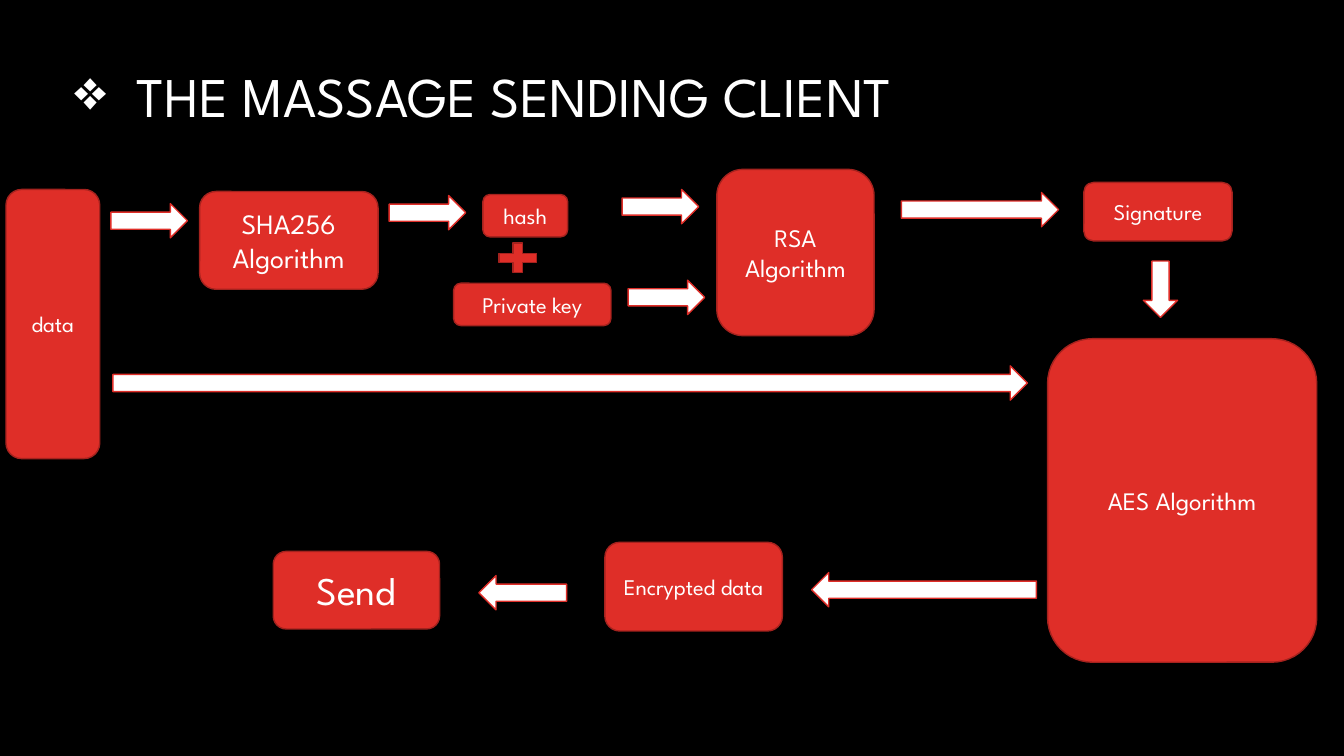
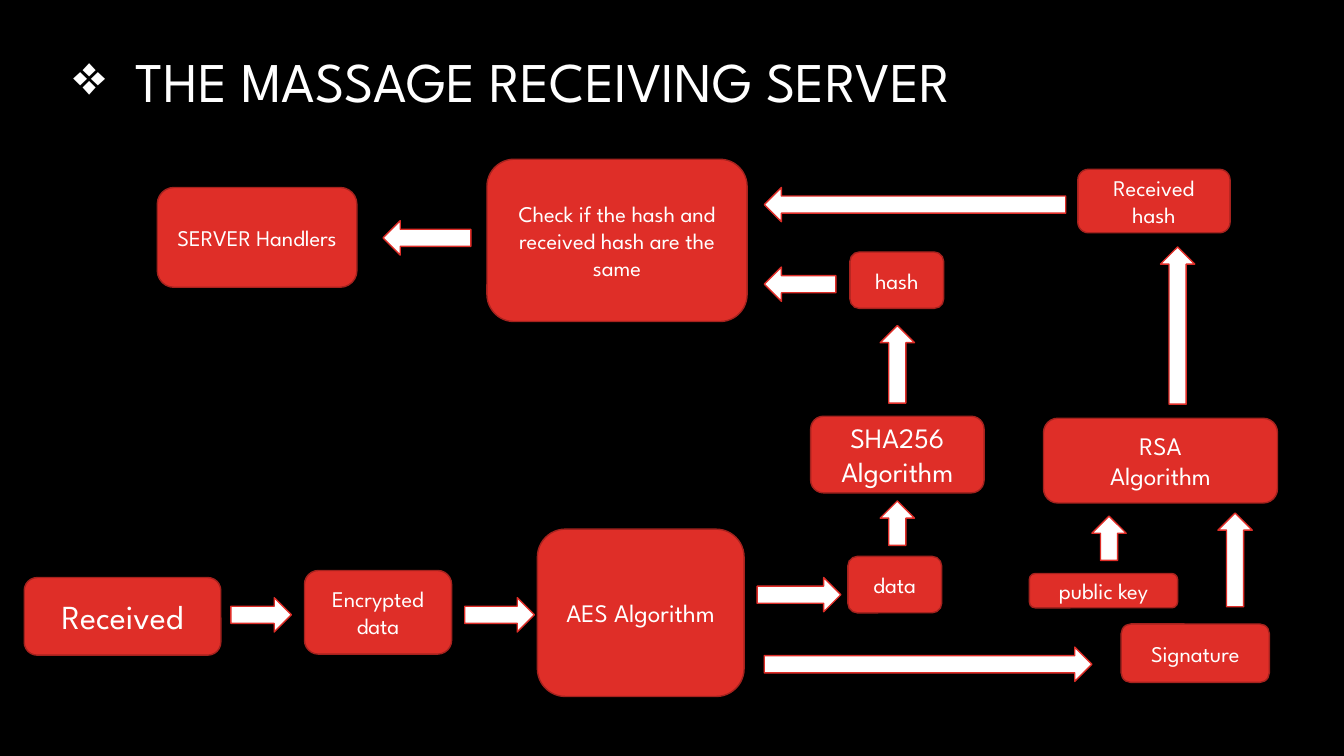
from typing import NamedTuple

from lxml.etree import SubElement
from pptx import Presentation
from pptx.dml.color import RGBColor
from pptx.enum.shapes import MSO_SHAPE as SHAPE
from pptx.enum.text import MSO_ANCHOR as ANCHOR, PP_ALIGN as ALIGN
from pptx.oxml.ns import qn
from pptx.util import Emu, Pt

# Shared style
FONT = "League Spartan"
BLACK, WHITE = "000000", "FFFFFF"
RED, DARK_RED = "DF2E28", "A5221E"
TITLE_SIZE, TITLE_INDENT = 40, 62
ARROW_THICKNESS = 34
ARROWS = {
    "right": SHAPE.RIGHT_ARROW,
    "left": SHAPE.LEFT_ARROW,
    "up": SHAPE.UP_ARROW,
    "down": SHAPE.DOWN_ARROW,
}


class Rect(NamedTuple):
    x: int
    y: int
    w: int
    h: int


class Box(NamedTuple):
    text: str
    rect: Rect
    size: int = 16


class Arrow(NamedTuple):
    direction: str
    x: int
    y: int
    length: int


class Flow(NamedTuple):
    title: str
    title_rect: Rect
    boxes: list[Box]
    arrows: list[Arrow]
    pluses: list[Rect]


# Content, at 100 px to the inch
SENDING = Flow(
    "THE MASSAGE SENDING CLIENT",
    Rect(64, 41, 1195, 116),
    boxes=[
        Box("data", Rect(6, 188, 93, 267)),
        Box("SHA256\nAlgorithm", Rect(198, 190, 177, 97), 20),
        Box("hash", Rect(479, 193, 84, 42)),
        Box("Private key", Rect(450, 281, 156, 42)),
        Box("RSA\nAlgorithm", Rect(711, 168, 156, 165), 18),
        Box("Signature", Rect(1075, 181, 147, 58)),
        Box("AES Algorithm", Rect(1039, 336, 267, 321), 18),
        Box("Encrypted data", Rect(600, 538, 176, 88)),
        Box("Send", Rect(271, 547, 165, 77), 28),
    ],
    arrows=[
        Arrow("right", 110, 202, 76),
        Arrow("right", 386, 194, 76),
        Arrow("right", 617, 188, 76),
        Arrow("right", 623, 278, 76),
        Arrow("right", 894, 191, 156),
        Arrow("right", 112, 363, 907),
        Arrow("down", 1134, 259, 56),
        Arrow("left", 805, 568, 223),
        Arrow("left", 475, 571, 87),
    ],
    pluses=[Rect(488, 236, 51, 40)],
)

RECEIVING = Flow(
    "THE MASSAGE RECEIVING SERVER",
    Rect(63, 17, 1183, 134),
    boxes=[
        Box("Received", Rect(24, 573, 195, 77), 24),
        Box("Encrypted data", Rect(302, 566, 146, 83)),
        Box("AES Algorithm", Rect(533, 525, 205, 166), 18),
        Box("data", Rect(841, 552, 93, 56)),
        Box("SHA256\nAlgorithm", Rect(804, 413, 172, 76), 20),
        Box("hash", Rect(843, 250, 93, 56)),
        Box("Signature", Rect(1112, 619, 147, 58)),
        Box("public key", Rect(1021, 569, 147, 34)),
        Box("RSA\nAlgorithm", Rect(1035, 415, 232, 84), 18),
        Box("Received hash", Rect(1069, 168, 151, 63)),
        Box("Check if the hash and received hash are the same",
            Rect(483, 158, 258, 161)),
        Box("SERVER Handlers", Rect(156, 186, 198, 99)),
    ],
    arrows=[
        Arrow("right", 229, 593, 60),
        Arrow("right", 461, 593, 69),
        Arrow("right", 751, 573, 83),
        Arrow("right", 758, 642, 325),
        Arrow("up", 873, 497, 44),
        Arrow("up", 873, 323, 77),
        Arrow("up", 1083, 512, 44),
        Arrow("up", 1208, 509, 93),
        Arrow("up", 1151, 245, 156),
        Arrow("left", 758, 186, 299),
        Arrow("left", 758, 265, 71),
        Arrow("left", 380, 219, 87),
    ],
    pluses=[],
)


# Helpers
def px(n: int) -> Emu:
    return Emu(n * 9144)


def rgb(value: str) -> RGBColor:
    return RGBColor.from_string(value)


def write(sp, text: str, *, size: int, color: str = WHITE,
          align=ALIGN.CENTER) -> None:
    tf = sp.text_frame
    tf.word_wrap = True
    tf.vertical_anchor = ANCHOR.MIDDLE
    for i, line in enumerate(text.split("\n")):
        p = tf.paragraphs[0] if i == 0 else tf.add_paragraph()
        p.alignment = align
        r = p.add_run()
        r.text = line
        r.font.name = FONT
        r.font.size = Pt(size)
        r.font.color.rgb = rgb(color)


def add_shape(s, kind, rect: Rect, fill: str = RED, line: str = DARK_RED):
    sp = s.shapes.add_shape(kind, *map(px, rect))
    sp.shadow.inherit = False
    sp.fill.solid()
    sp.fill.fore_color.rgb = rgb(fill)
    sp.line.color.rgb = rgb(line)
    sp.line.width = Pt(1)
    return sp


def add_arrow(s, arrow: Arrow) -> None:
    w, h = arrow.length, ARROW_THICKNESS
    if arrow.direction in ("up", "down"):
        w, h = h, w
    add_shape(s, ARROWS[arrow.direction], Rect(arrow.x, arrow.y, w, h),
              fill=WHITE, line=RED)


def add_title(s, text: str, rect: Rect) -> None:
    sp = s.shapes.add_textbox(*map(px, rect))
    write(sp, text, size=TITLE_SIZE, align=ALIGN.LEFT)
    p = sp.text_frame.paragraphs[0]
    p.line_spacing = 0.9
    # Hanging bullet
    pPr = p._p.get_or_add_pPr()
    pPr.set("marL", str(px(TITLE_INDENT)))
    pPr.set("indent", str(px(-TITLE_INDENT)))
    SubElement(pPr, qn("a:buChar")).set("char", "❖")


def add_flow(prs, flow: Flow) -> None:
    s = prs.slides.add_slide(prs.slide_layouts[6])
    s.background.fill.solid()
    s.background.fill.fore_color.rgb = rgb(BLACK)
    add_title(s, flow.title, flow.title_rect)
    for box in flow.boxes:
        sp = add_shape(s, SHAPE.ROUNDED_RECTANGLE, box.rect)
        write(sp, box.text, size=box.size)
    for arrow in flow.arrows:
        add_arrow(s, arrow)
    for rect in flow.pluses:
        add_shape(s, SHAPE.MATH_PLUS, rect)


def main() -> None:
    prs = Presentation()
    prs.slide_width, prs.slide_height = px(1333), px(750)
    for flow in (SENDING, RECEIVING):
        add_flow(prs, flow)
    prs.save("out.pptx")


if __name__ == "__main__":
    main()
